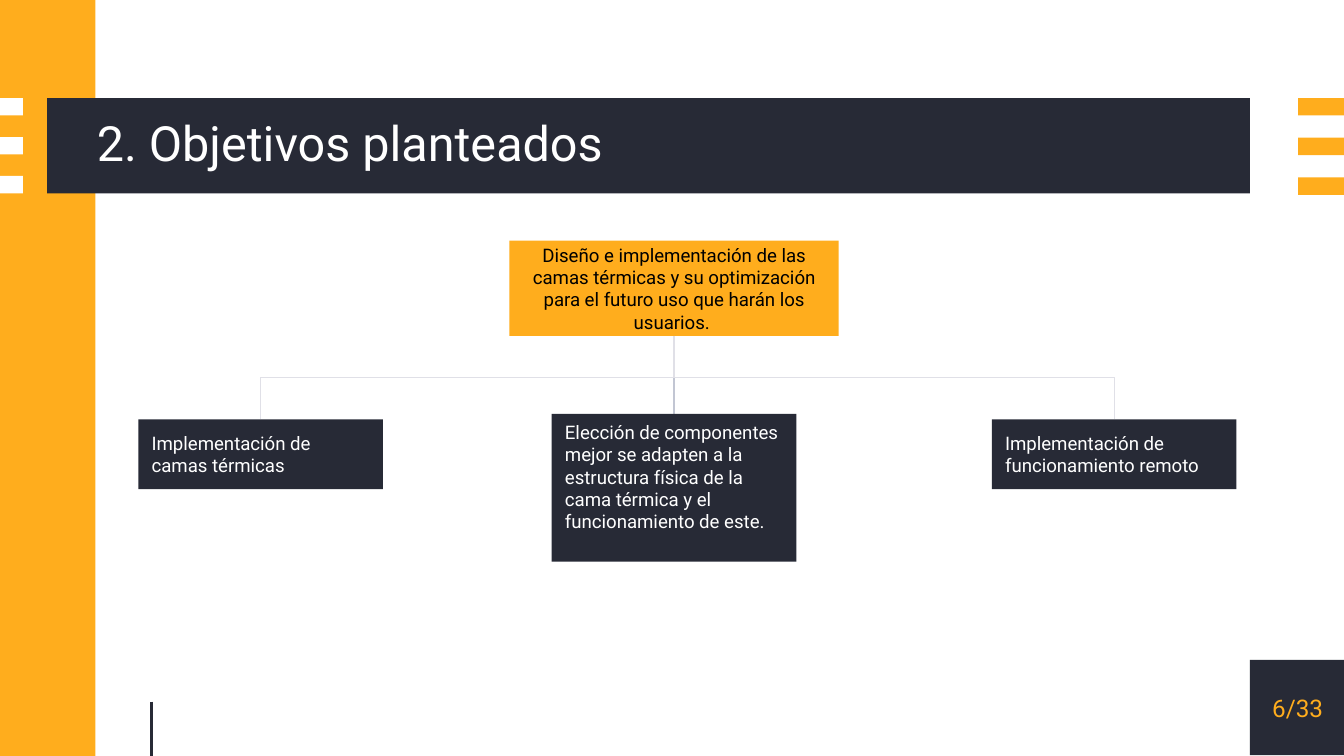
from lxml import etree
from pptx import Presentation
from pptx.dml.color import RGBColor
from pptx.enum.shapes import MSO_CONNECTOR, MSO_SHAPE
from pptx.enum.text import MSO_ANCHOR, MSO_AUTO_SIZE, PP_ALIGN
from pptx.oxml.ns import qn
from pptx.util import Inches, Pt

RECTANGLE = MSO_SHAPE.RECTANGLE
STRAIGHT, ELBOW = MSO_CONNECTOR.STRAIGHT, MSO_CONNECTOR.ELBOW
TOP, MIDDLE = MSO_ANCHOR.TOP, MSO_ANCHOR.MIDDLE
LEFT, CENTER = PP_ALIGN.LEFT, PP_ALIGN.CENTER
NO_AUTOFIT = MSO_AUTO_SIZE.NONE

WIDTH = 10
HEIGHT = WIDTH * 9 / 16
COLORS = {
    "dark": "272A36",
    "accent": "FFAD1D",
    "white": "FFFFFF",
    "black": "000000",
    "branch": "E0E0E7",
    "stem": "C2C6D3",
}


def color(name):
    return RGBColor.from_string(COLORS[name])


def set_text(shape, text, size=10, fill="white", align=LEFT, anchor=MIDDLE,
             inset=0.1, top_inset=None, line_spacing=None):
    frame = shape.text_frame
    frame.word_wrap = True
    frame.auto_size = NO_AUTOFIT
    frame.vertical_anchor = anchor
    frame.margin_left = frame.margin_right = frame.margin_bottom = Inches(inset)
    frame.margin_top = Inches(inset if top_inset is None else top_inset)
    paragraph = frame.paragraphs[0]
    paragraph.alignment = align
    if line_spacing:
        paragraph.line_spacing = line_spacing
    run = paragraph.add_run()
    run.text = text
    run.font.name = "Roboto"
    run.font.size = Pt(size)
    run.font.color.rgb = color(fill)


def add_rectangle(slide, box, fill):
    shape = slide.shapes.add_shape(RECTANGLE, *map(Inches, box))
    shape.shadow.inherit = False
    shape.fill.solid()
    shape.fill.fore_color.rgb = color(fill)
    shape.line.fill.background()
    return shape


def add_line(slide, start, end, stroke, width=0.75, kind=STRAIGHT):
    line = slide.shapes.add_connector(kind, *map(Inches, (*start, *end)))
    line.line.color.rgb = color(stroke)
    line.line.width = Pt(width)
    etree.SubElement(line.element.spPr, qn("a:effectLst"))
    return line


def add_branch(slide, start, end):
    """Elbow that leaves downwards, runs sideways and arrives downwards."""
    (x1, y1), (x2, y2) = start, end
    center_x, center_y = (x1 + x2) / 2, (y1 + y2) / 2
    half_span, half_drop = abs(x2 - x1) / 2, (y2 - y1) / 2
    side = 1 if x2 > x1 else -1
    line = add_line(slide,
                    (center_x + side * half_drop, center_y - half_span),
                    (center_x - side * half_drop, center_y + half_span),
                    "branch", kind=ELBOW)
    degrees = 270 if side > 0 else 90
    line.element.spPr.find(qn("a:xfrm")).set("rot", str(degrees * 60000))


def add_stripes(slide, box, fill, count=3, thickness=0.13):
    left, top, width, height = box
    pitch = (height - thickness) / (count - 1)
    for index in range(count):
        add_rectangle(slide, (left, top + index * pitch, width, thickness), fill)


def add_sidebar(slide, box):
    left, top, width, height = box
    add_rectangle(slide, box, "accent")
    add_line(slide, (left + 1.13, top + 5.22), (left + 1.13, top + height),
             "dark", width=1.5)


def add_title_band(slide, box, text):
    left, top, width, height = box
    add_rectangle(slide, box, "dark")
    add_stripes(slide, (0, top, 0.17, height), "white")
    add_stripes(slide, (WIDTH - 0.34, top, 0.34, height + 0.01), "accent")
    title = slide.shapes.title
    title.left, title.top = Inches(left + 0.37), Inches(top)
    title.width, title.height = Inches(width - 0.37), Inches(height)
    set_text(title, text, size=26, inset=0, line_spacing=0.9)
    slide.shapes.element.append(title.element)  # bring in front of the band


def add_page_number(slide, box, text):
    shape = add_rectangle(slide, box, "dark")
    set_text(shape, text, size=13, fill="accent", align=CENTER, inset=0)


def add_objective_tree(slide, box, goal, objectives):
    left, top, width, height = box
    goal_width, goal_height = 2.45, 0.71
    child_width, child_height, child_top = 1.82, 0.52, top + 1.33
    middle = left + width / 2 - 0.1
    goal_bottom = top + goal_height

    goal_box = (middle - goal_width / 2, top, goal_width, goal_height)
    set_text(add_rectangle(slide, goal_box, "accent"), goal,
             fill="black", align=CENTER)

    first, second, third = objectives
    for child_left, text in ((left, first), (left + width - child_width, third)):
        child_box = (child_left, child_top, child_width, child_height)
        set_text(add_rectangle(slide, child_box, "dark"), text)
        add_branch(slide, (middle, goal_bottom),
                   (child_left + child_width / 2, child_top))

    add_line(slide, (middle, (goal_bottom + child_top) / 2),
             (middle, child_top), "stem")
    middle_top = child_top - 0.04
    middle_box = (middle - child_width / 2, middle_top, child_width,
                  top + height - middle_top)
    set_text(add_rectangle(slide, middle_box, "dark"), second,
             anchor=TOP, top_inset=0.05)


def main():
    presentation = Presentation()
    presentation.slide_width = Inches(WIDTH)
    presentation.slide_height = Inches(HEIGHT)
    slide = presentation.slides.add_slide(presentation.slide_layouts[5])
    add_sidebar(slide, (0, 0, 0.71, HEIGHT))
    add_title_band(slide, (0.35, 0.73, 8.95, 0.71), "2. Objetivos planteados")
    add_page_number(slide, (9.3, 4.91, 0.71, 0.71), "6/33")
    add_objective_tree(
        slide, (1.03, 1.79, 8.17, 2.39),
        "Diseño e implementación de las camas térmicas y su optimización "
        "para el futuro uso que harán los usuarios. ",
        ("Implementación de camas térmicas",
         "Elección de componentes mejor se adapten a la estructura física "
         "de la cama térmica y el funcionamiento de este.",
         "Implementación de funcionamiento remoto"))
    presentation.save("out.pptx")


if __name__ == "__main__":
    main()
